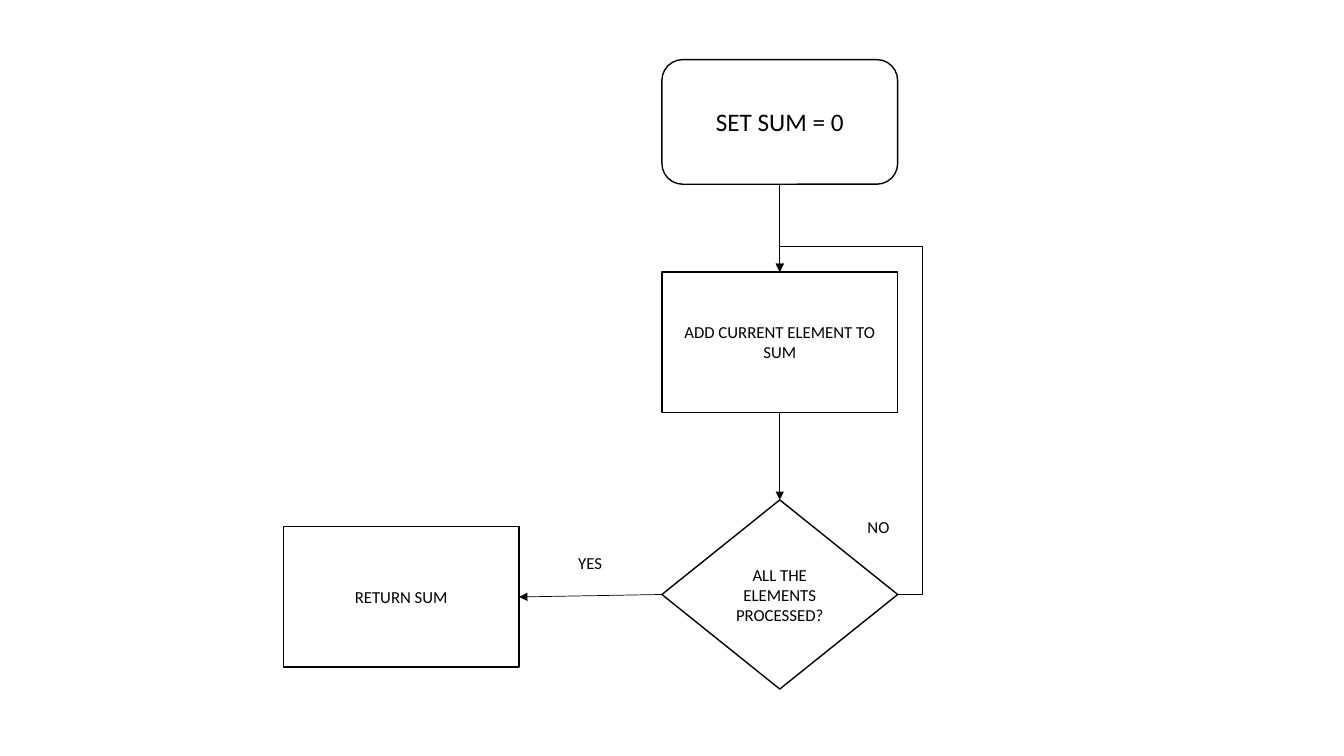
import pptx
import pptx.dml.color
import pptx.enum.shapes
import pptx.enum.text
import pptx.oxml
import pptx.oxml.ns
import pptx.util

Pt = pptx.util.Pt
SHAPES = pptx.enum.shapes.MSO_SHAPE
CONNECTORS = pptx.enum.shapes.MSO_CONNECTOR
TOP, LEFT, BOTTOM, RIGHT = range(4)


def color(value):
    """Turn a hex string into a colour."""
    return pptx.dml.color.RGBColor.from_string(value)


def add_node(parent, tag, **attributes):
    """Append a drawing element to a parent element and return it."""
    node = pptx.oxml.parse_xml(f"<{tag} {pptx.oxml.ns.nsdecls('a')}/>")
    for name, value in attributes.items():
        node.set(name, value)
    parent.append(node)
    return node


class Flowchart:
    """Style and current page of the flowchart."""

    font = "Calibri"
    ink = "000000"
    paper = "FFFFFF"

    def __init__(self, page):
        """Keep the page that is drawn on."""
        self.page = page

    def add_words(self, box, words, size=12):
        """Put one centred paragraph of words into a box."""
        frame = box.text_frame
        frame.word_wrap = True
        para = frame.paragraphs[0]
        para.alignment = pptx.enum.text.PP_ALIGN.CENTER
        span = para.add_run()
        span.text = words
        span.font.name = self.font
        span.font.size = Pt(size)
        span.font.color.rgb = color(self.ink)

    def step(self, kind, words, left, top, height, size=12):
        """Draw one outlined step of the flow."""
        box = self.page.shapes.add_shape(
            kind, Pt(left), Pt(top), Pt(STEP_WIDTH), Pt(height))
        box.shadow.inherit = False
        box.fill.solid()
        box.fill.fore_color.rgb = color(self.paper)
        box.line.color.rgb = color(self.ink)
        box.line.width = Pt(1)
        box.text_frame.vertical_anchor = pptx.enum.text.MSO_ANCHOR.MIDDLE
        self.add_words(box, words, size)
        return box

    def label(self, words, left, top):
        """Place the answer beside an arrow."""
        box = self.page.shapes.add_textbox(Pt(left), Pt(top), Pt(38.2), Pt(21.8))
        self.add_words(box, words)
        box.text_frame.auto_size = pptx.enum.text.MSO_AUTO_SIZE.SHAPE_TO_FIT_TEXT

    def arrow(self, start, start_side, end, end_side, bends=()):
        """Join two steps with an arrow, bent when bends are given."""
        kind = CONNECTORS.ELBOW if bends else CONNECTORS.STRAIGHT
        arrow = self.page.shapes.add_connector(kind, 0, 0, 0, 0)
        arrow.begin_connect(start, start_side)
        arrow.end_connect(end, end_side)
        arrow.line.color.rgb = color(self.ink)
        arrow.line.width = Pt(0.5)
        properties = arrow.element.spPr
        add_node(properties.find(pptx.oxml.ns.qn("a:ln")), "a:tailEnd", type="triangle")
        add_node(properties, "a:effectLst")
        if bends:
            geometry = properties.find(pptx.oxml.ns.qn("a:prstGeom"))
            geometry.set("prst", f"bentConnector{len(bends) + 2}")
            for guide in list(geometry):
                geometry.remove(guide)
            guides = add_node(geometry, "a:avLst")
            for number, bend in enumerate(bends, 1):
                add_node(guides, "a:gd", name=f"adj{number}",
                         fmla=f"val {round(bend * 100000)}")


STEP_WIDTH = 168.4
STEP_HEIGHT = 100.4
MAIN_LEFT = 472.8

deck = pptx.Presentation()
deck.slide_width = Pt(960)
deck.slide_height = Pt(540)
chart = Flowchart(deck.slides.add_slide(deck.slide_layouts[6]))

start = chart.step(SHAPES.ROUNDED_RECTANGLE, "SET SUM = 0", MAIN_LEFT, 42.6, 89, 18)
add = chart.step(SHAPES.RECTANGLE, "ADD CURRENT ELEMENT TO SUM",
                 MAIN_LEFT, 194.2, STEP_HEIGHT)
check = chart.step(SHAPES.DIAMOND, "ALL THE ELEMENTS PROCESSED?",
                   MAIN_LEFT, 357.1, 135.1)
finish = chart.step(SHAPES.RECTANGLE, "RETURN SUM", 202.4, 376.2, STEP_HEIGHT)

chart.arrow(start, BOTTOM, add, TOP)
chart.arrow(add, BOTTOM, check, TOP)
chart.arrow(check, LEFT, finish, RIGHT)
chart.arrow(check, RIGHT, add, TOP, bends=(-0.21, 1.08))

chart.label("YES", 402.5, 391)
chart.label("NO", 608.4, 365.4)

deck.save("out.pptx")
